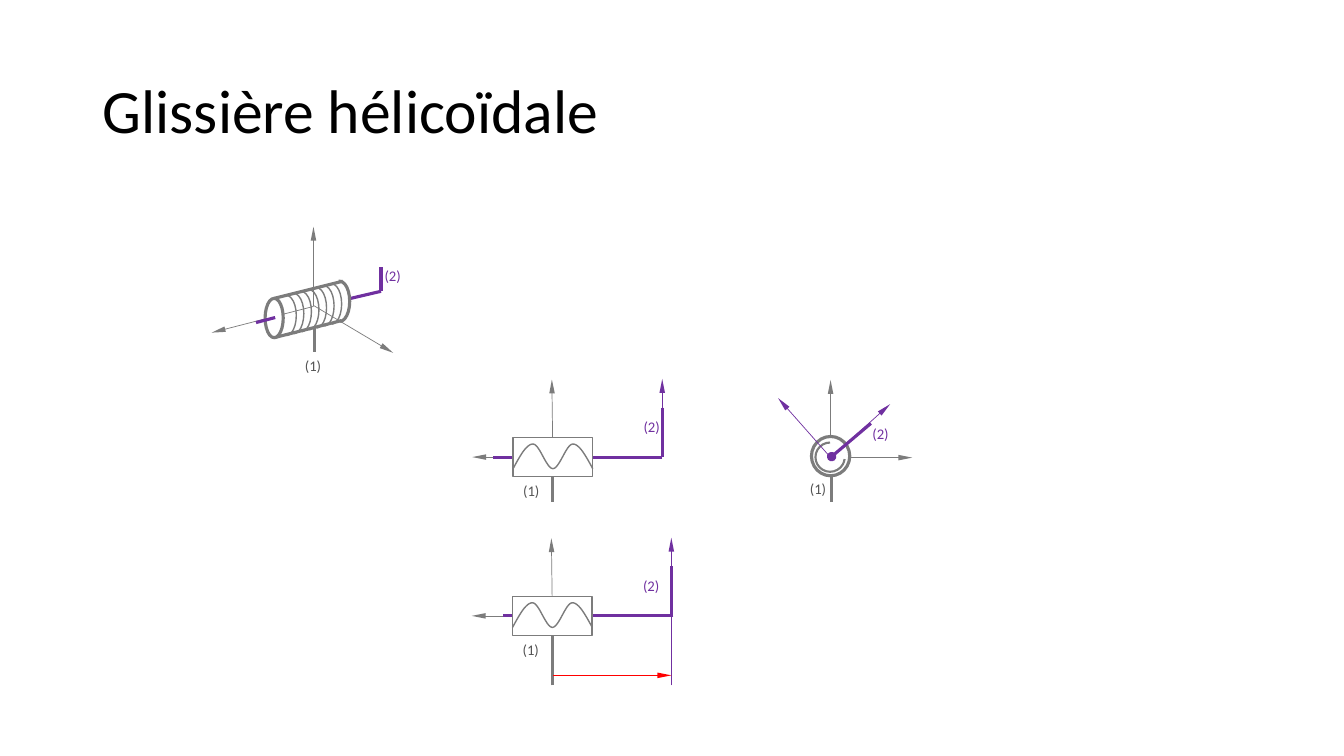
from dataclasses import dataclass

import lxml.etree
import pptx
import pptx.dml.color
import pptx.enum.shapes
import pptx.enum.text
import pptx.oxml
import pptx.oxml.ns
import pptx.util

COLOURS = {"frame": "7C7C7C", "moving": "7030A0", "offset": "FF0000",
           "label": "525252", "paper": "FFFFFF", "title": "000000"}
CELL = pptx.util.Inches(0.1)
FONT = "Calibri"
THIN, FINE, MEDIUM, THICK = 0.5, 1, 1.5, 2.25
COIL_ARC = (160.357, 53.32)
THREAD_ARC = (4.459, 161.853)
SHAPE = pptx.enum.shapes.MSO_SHAPE


@dataclass
class Stroke:
    start: tuple[float, float]
    end: tuple[float, float]
    colour: str = "frame"
    weight: float = THICK
    tip: str = ""


@dataclass
class Outline:
    kind: SHAPE
    place: tuple[float, float, float, float]
    weight: float = THICK
    angles: tuple[float, ...] = ()


@dataclass
class Label:
    wording: str
    corner: tuple[float, float]
    colour: str


@dataclass
class SideView:
    centre: tuple[float, float]
    crank: float
    shaft: tuple[float, float]
    stem_foot: float
    axis_foot: float
    grouped: bool


def cells(*counts: float) -> list[int]:
    return [pptx.util.Emu(round(count * CELL)) for count in counts]


def rgb(name: str) -> pptx.dml.color.RGBColor:
    return pptx.dml.color.RGBColor.from_string(COLOURS[name])


def set_line(line, colour: str, weight: float) -> None:
    line.color.rgb = rgb(colour)
    line.width = pptx.util.Pt(weight)


def draw_stroke(shapes, stroke: Stroke):
    connector = shapes.add_connector(pptx.enum.shapes.MSO_CONNECTOR.STRAIGHT,
                                     *cells(*stroke.start, *stroke.end))
    set_line(connector.line, stroke.colour, stroke.weight)
    if stroke.tip:
        size = {"w": "sm", "len": "lg"} if stroke.tip == "triangle" else {}
        lxml.etree.SubElement(connector.line._get_or_add_ln(), pptx.oxml.ns.qn("a:tailEnd"),
                              {"type": stroke.tip, **size})
    lxml.etree.SubElement(connector._element.spPr, pptx.oxml.ns.qn("a:effectLst"))
    return connector


def draw_outline(shapes, outline: Outline):
    shape = shapes.add_shape(outline.kind, *cells(*outline.place))
    shape.shadow.inherit = False
    set_line(shape.line, "frame", outline.weight)
    if outline.angles:
        shape.fill.background()
        for index, angle in enumerate(outline.angles):
            shape.adjustments[index] = angle
    else:
        shape.fill.solid()
        shape.fill.fore_color.rgb = rgb("paper")
    return shape


def draw_label(shapes, label: Label) -> None:
    box = shapes.add_textbox(*cells(*label.corner, 3.9, 2.9))
    box.text_frame.word_wrap = False
    box.text_frame.auto_size = pptx.enum.text.MSO_AUTO_SIZE.SHAPE_TO_FIT_TEXT
    para = box.text_frame.paragraphs[0]
    para.text = label.wording
    para.alignment = pptx.enum.text.PP_ALIGN.CENTER
    para.font.name = FONT
    para.font.size = pptx.util.Pt(10.5)
    para.font.color.rgb = rgb(label.colour)


def draw_all(shapes, parts: list) -> None:
    painters = {Stroke: draw_stroke, Outline: draw_outline, Label: draw_label}
    for part in parts:
        painters[type(part)](shapes, part)


def bezier(a: float, b: float, c: float, d: float, t: float) -> float:
    s = 1 - t
    return s ** 3 * a + 3 * s * s * t * b + 3 * s * t * t * c + t ** 3 * d


def draw_thread(shapes, left: float, low: float) -> None:
    span, steps, high = 7.9 / 4, 12, low - 2.45
    bends = [(low, low - 1.22, high, high), (high, high, low, low),
             (low, low, high, high), (high, high, low - 1.22, low)]
    points = [(left + span * (index + step / steps), bezier(*bend, step / steps))
              for index, bend in enumerate(bends) for step in range(1, steps + 1)]
    builder = shapes.build_freeform(*cells(left, low))
    builder.add_line_segments([tuple(cells(*point)) for point in points], close=False)
    wave = builder.convert_to_shape()
    wave.shadow.inherit = False
    wave.fill.background()
    set_line(wave.line, "frame", FINE)


def draw_side_view(page, view: SideView) -> None:
    shapes = page.shapes.add_group_shape().shapes if view.grouped else page.shapes
    x, y = view.centre
    crank = x + view.crank
    draw_all(shapes, [
        Stroke((x, y), (x - 0.1, y - 7.7), weight=THIN, tip="triangle"),
        Stroke((x, y), (x - 8, y), weight=THIN, tip="triangle"),
        Stroke((crank, y - 4.9), (crank, y), "moving"),
        Label("(1)", (x - 4.1, y + 1.95), "label"),
        Stroke((crank, y + view.axis_foot), (crank, y - 7.75), "moving", THIN, "triangle"),
        Label("(2)", (x + 7.85, y - 4.35), "moving"),
        Stroke((x + view.shaft[0], y), (x + view.shaft[1], y), "moving")])
    nut = draw_outline(shapes, Outline(SHAPE.RECTANGLE, (x - 3.95, y - 1.95, 7.9, 3.9), FINE))
    stem = draw_stroke(shapes, Stroke((x, y + view.stem_foot), (x, y + 1.95)))
    stem.end_connect(nut, 2)
    draw_thread(shapes, x - 3.95, y + 1.15)


SIDE_VIEWS = [SideView((54.85, 45.35), 10.85, (10.85, -5.95), 4.45, 0, True),
              SideView((54.8, 61.1), 11.8, (12, -4.9), 6.9, 6.9, False)]

ISOMETRIC_VIEW = [
    Stroke((31.1, 30.4), (21, 33), weight=THIN, tip="triangle"),
    Stroke((34, 27.9), (27.2, 29.6)),
    Stroke((31.1, 30.4), (31.1, 22.5), weight=THIN, tip="triangle"),
    Stroke((31.1, 30.3), (39, 35), weight=THIN, tip="triangle"),
    Label("(2)", (37, 26), "moving"),
    Label("(1)", (29.1, 34.9), "label"),
    Stroke((31.2, 34.9), (31.2, 32.5)),
    Stroke((33.9, 31.8), (27.2, 33.5)),
    Outline(SHAPE.OVAL, (26.3, 29.6, 1.8, 3.9)),
    Stroke((27.3, 31.5), (25.4, 32), "moving"),
    Stroke((37.8, 28.9), (34.8, 29.6), "moving"),
    Outline(SHAPE.ARC, (32.7, 27.9, 2, 4), angles=COIL_ARC),
    Stroke((37.8, 26.5), (37.8, 28.9), "moving"),
    *[Outline(SHAPE.ARC, (27.4 + 0.75 * turn, 29.3 - 0.19 * turn, 2, 4), FINE, COIL_ARC)
      for turn in range(7)]]

END_VIEW = [
    Stroke((82.4, 45.4), (82.4, 37.7), weight=THIN, tip="triangle"),
    Label("(2)", (85.4, 41.7), "moving"),
    Stroke((82.5, 49.8), (82.5, 45.4)),
    Stroke((82.4, 45.4), (90.5, 45.4), weight=THIN, tip="triangle"),
    Outline(SHAPE.OVAL, (80.5, 43.3, 3.8, 3.9)),
    Label("(1)", (79.2, 47.1), "label"),
    Stroke((86.4, 42), (82.5, 45.3), "moving", tip="oval"),
    Outline(SHAPE.ARC, (80.9, 43.9, 2.9, 2.9), MEDIUM, THREAD_ARC),
    Stroke((82.4, 45.4), (88.3, 40.1), "moving", THIN, "triangle"),
    Stroke((82.5, 45.5), (77.2, 39.5), "moving", THIN, "triangle")]


def write_title(page) -> None:
    title = page.shapes.title
    title.left, title.top, title.width, title.height = cells(9.2, 4, 115, 14.5)
    title.text_frame.vertical_anchor = pptx.enum.text.MSO_ANCHOR.MIDDLE
    para = title.text_frame.paragraphs[0]
    para.text = "Glissière hélicoïdale"
    para.alignment = pptx.enum.text.PP_ALIGN.LEFT
    para.line_spacing = 0.9
    para.font.name = FONT
    para.font.size = pptx.util.Pt(44)
    para.font.color.rgb = rgb("title")


def main() -> None:
    deck = pptx.Presentation()
    deck.slide_width, deck.slide_height = cells(133.33, 75)
    page = deck.slides.add_slide(deck.slide_layouts[5])
    write_title(page)
    draw_all(page.shapes, ISOMETRIC_VIEW)
    for view in SIDE_VIEWS:
        draw_side_view(page, view)
    draw_all(page.shapes, END_VIEW)
    draw_stroke(page.shapes, Stroke((54.9, 67), (66.6, 67), "offset", THIN, "triangle"))
    deck.save("out.pptx")


if __name__ == "__main__":
    main()
